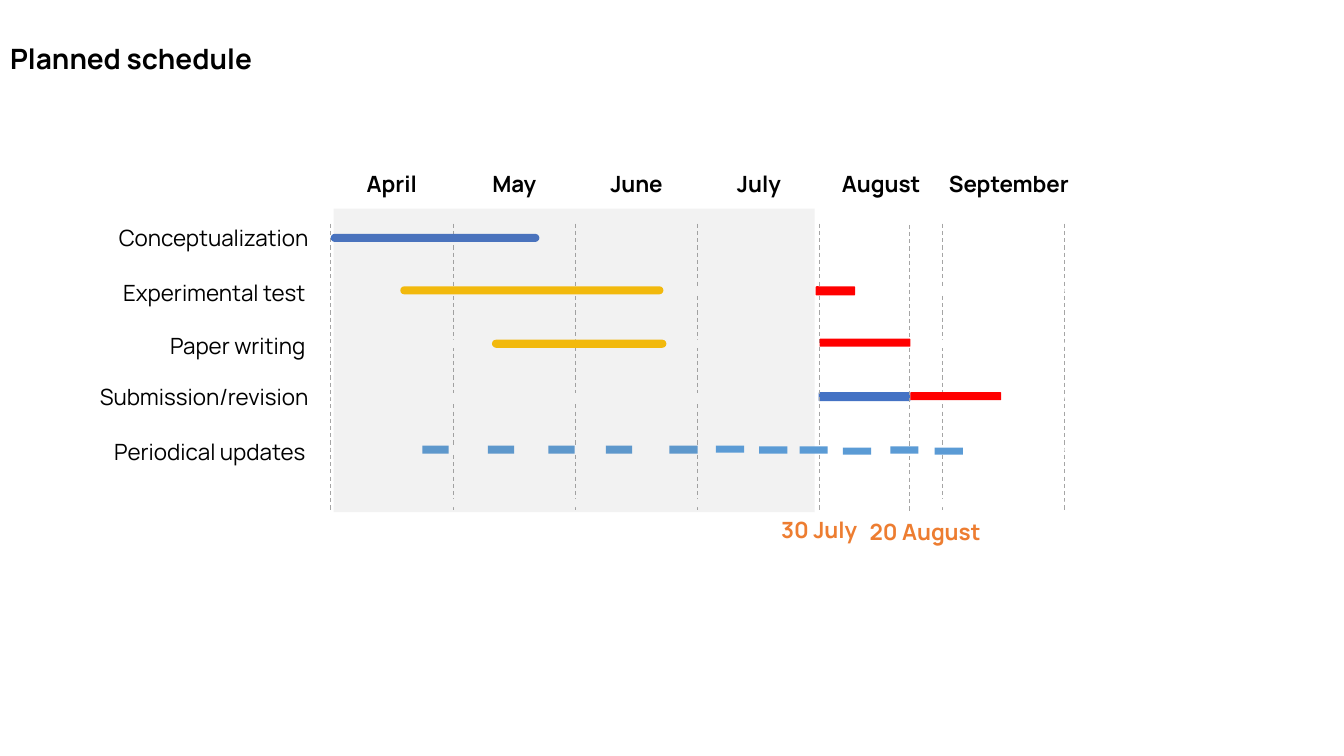
"""Build the planned schedule slide: a six-month Gantt chart with two deadlines."""
import pptx
import pptx.util
import pptx.dml.color
import pptx.enum.dml
import pptx.enum.shapes
import pptx.enum.text
import pptx.oxml.ns
from lxml import etree

Inches = pptx.util.Inches
Pt = pptx.util.Pt
Align = pptx.enum.text.PP_ALIGN
Anchor = pptx.enum.text.MSO_ANCHOR
Preset = pptx.enum.shapes.MSO_SHAPE
qn = pptx.oxml.ns.qn

COLORS = {
    "text": "000000", "grid": "A5A5A5", "track": "FFFFFF", "elapsed": "808080",
    "concept": "4472C4", "work": "FFC000", "update": "5B9BD5",
    "late": "FF0000", "deadline": "ED7D31",
}
FONT = "Manrope"
CHART_LEFT, CHART_WIDTH = 3.28, 7.28
GRID_TOP, GRID_HEIGHT = 2.22, 2.86
BAR_HEIGHT = 0.08
UPDATE_TOP = 4.42

presentation = pptx.Presentation()
presentation.slide_width = Inches(13.33)
presentation.slide_height = Inches(7.5)
slide = presentation.slides.add_slide(presentation.slide_layouts[5])


def add_label(text, left, top, width, height, align, color="text", bold=True):
    label = slide.shapes.add_textbox(Inches(left), Inches(top), Inches(width), Inches(height))
    frame = label.text_frame
    frame.word_wrap = True
    frame.margin_left = frame.margin_right = frame.margin_top = frame.margin_bottom = 0
    paragraph = frame.paragraphs[0]
    paragraph.text = text
    paragraph.alignment = align
    paragraph.font.name = FONT
    paragraph.font.size = Pt(16)
    paragraph.font.bold = bold
    paragraph.font.color.rgb = pptx.dml.color.RGBColor.from_string(COLORS[color])
    return frame


def add_bar(left, top, width, color, rounding=0.5, height=BAR_HEIGHT):
    preset = Preset.ROUNDED_RECTANGLE if rounding else Preset.RECTANGLE
    bar = slide.shapes.add_shape(preset, Inches(left), Inches(top), Inches(width), Inches(height))
    if rounding:
        bar.adjustments[0] = rounding
    bar.shadow.inherit = False
    bar.line.fill.background()
    bar.fill.solid()
    bar.fill.fore_color.rgb = pptx.dml.color.RGBColor.from_string(COLORS[color])
    return bar


title = slide.shapes.title
title.left, title.top, title.width, title.height = Inches(0), Inches(0.39), Inches(12.48), Inches(0.41)
title.text_frame.text = "Planned schedule"
title.text_frame.vertical_anchor = Anchor.MIDDLE
heading = title.text_frame.paragraphs[0]
heading.alignment = Align.LEFT
heading.line_spacing = 0.9
heading.font.name = FONT
heading.font.size = Pt(20)
heading.font.bold = True
heading.font.color.rgb = pptx.dml.color.RGBColor.from_string(COLORS["text"])

months = ["April", "May", "June", "July", "August", "September"]
month_width = CHART_WIDTH / len(months)
deadlines = [
    ("30 July", 8.13, 2.22, 7.52, 5.12, 1.21),
    ("20 August", 9.02, 2.23, 8.42, 5.14, 1.51),
]
month_lines = [(CHART_LEFT + i * month_width, GRID_TOP) for i in (0, 1, 2, 3, 5, 6)]
deadline_lines = [(x, top) for _, x, top, *_ in deadlines]
lines = []
for x, top in month_lines + deadline_lines:
    line = slide.shapes.add_connector(
        pptx.enum.shapes.MSO_CONNECTOR.STRAIGHT,
        Inches(x), Inches(top), Inches(x), Inches(top + GRID_HEIGHT))
    line.line.color.rgb = pptx.dml.color.RGBColor.from_string(COLORS["grid"])
    line.line.width = Pt(0.75)
    line.line.dash_style = pptx.enum.dml.MSO_LINE.DASH
    etree.SubElement(line._element.spPr, qn("a:effectLst"))
    lines.append(line)

for i, month in enumerate(months):
    width = 1.32 if month == "September" else month_width
    add_label(month, CHART_LEFT + i * month_width, 1.69, width, 0.25, Align.CENTER)

tasks = [
    ("Conceptualization", 2.22, 3.06, 1),
    ("Experimental test", 2.74, 3.03, 1.15),
    ("Paper writing", 3.27, 3.03, 1.15),
    ("Submission/revision", 3.79, 3.06, 1),
    ("Periodical updates", 4.32, 3.03, 1.15),
]
for task, top, right, spacing in tasks:
    frame = add_label(task, right - 2.1, top, 2.1, 0.28, Align.RIGHT, bold=False)
    frame.vertical_anchor = Anchor.MIDDLE
    frame.paragraphs[0].line_spacing = spacing

for top in (2.84, 3.37, 3.9, UPDATE_TOP, 4.95):
    add_bar(CHART_LEFT, top, CHART_WIDTH, "track")

for left, top, width, color, rounding, height in [
    (3.28, 2.32, 2.07, "concept", 0.5, 0.08),
    (3.97, 2.84, 2.61, "work", 0.5, 0.08),
    (4.88, 3.37, 1.73, "work", 0.5, 0.08),
    (8.12, 3.89, 0.91, "concept", 0.1, 0.09),
]:
    add_bar(left, top, width, color, rounding, height)

for left, width in [(4.19, 0.26), (4.84, 0.26), (5.44, 0.26), (6.01, 0.26), (6.64, 0.28)]:
    add_bar(left, UPDATE_TOP, width, "update", 0)

for line in lines[len(month_lines):]:
    slide.shapes._spTree.append(line._element)
for deadline, _, _, left, top, width in deadlines:
    add_label(deadline, left, top, width, 0.89, Align.CENTER, "deadline")

elapsed = add_bar(3.31, 2.07, 4.77, "elapsed", 0, 3.01)
elapsed_color = elapsed._element.spPr.find(qn("a:solidFill"))[0]
etree.SubElement(elapsed_color, qn("a:alpha")).set("val", "10000")

for left, top, width, height in [(8.13, 3.36, 0.9, 0.08), (8.09, 2.84, 0.39, 0.09), (9.03, 3.89, 0.9, 0.08)]:
    add_bar(left, top, width, "late", 0.1, height)

for left, top in [(7.1, 4.42), (7.53, 4.43), (7.93, 4.43), (8.36, 4.44), (8.83, 4.43), (9.27, 4.44)]:
    add_bar(left, top, 0.28, "update", 0, 0.07)

presentation.save("out.pptx")
